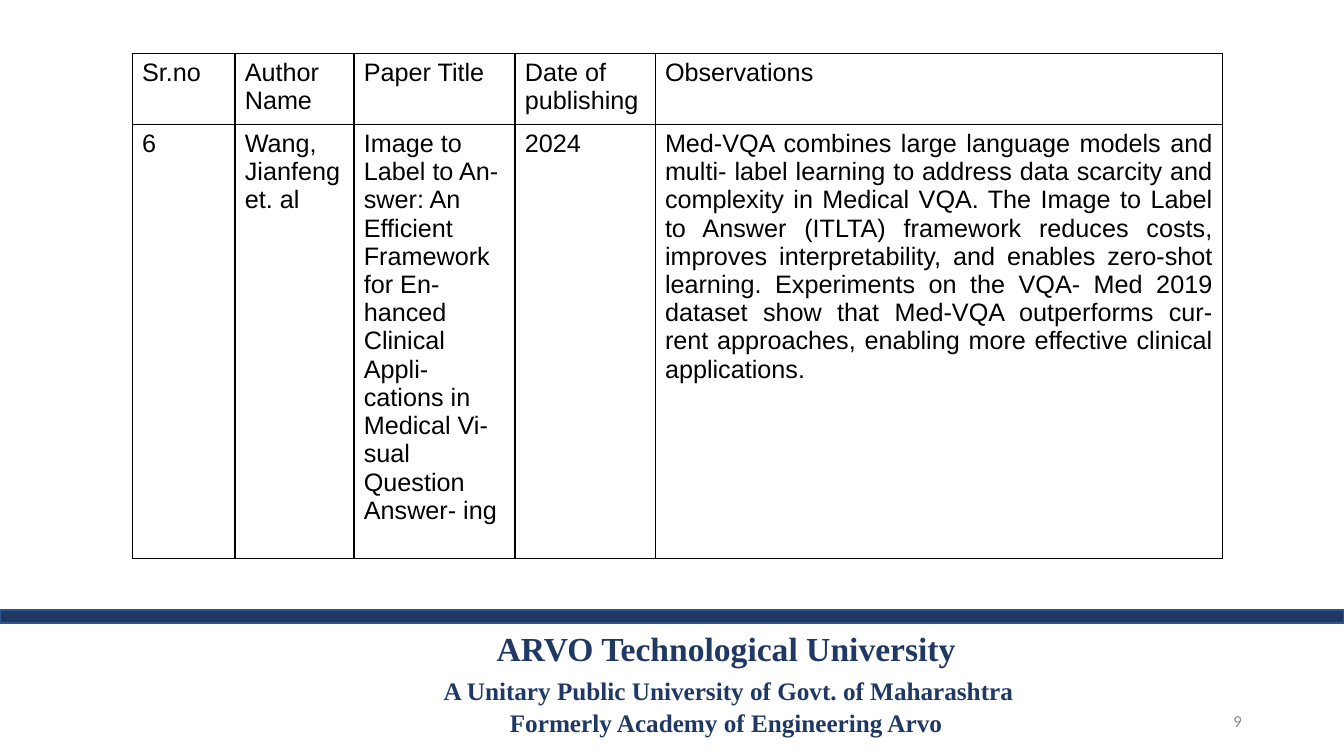
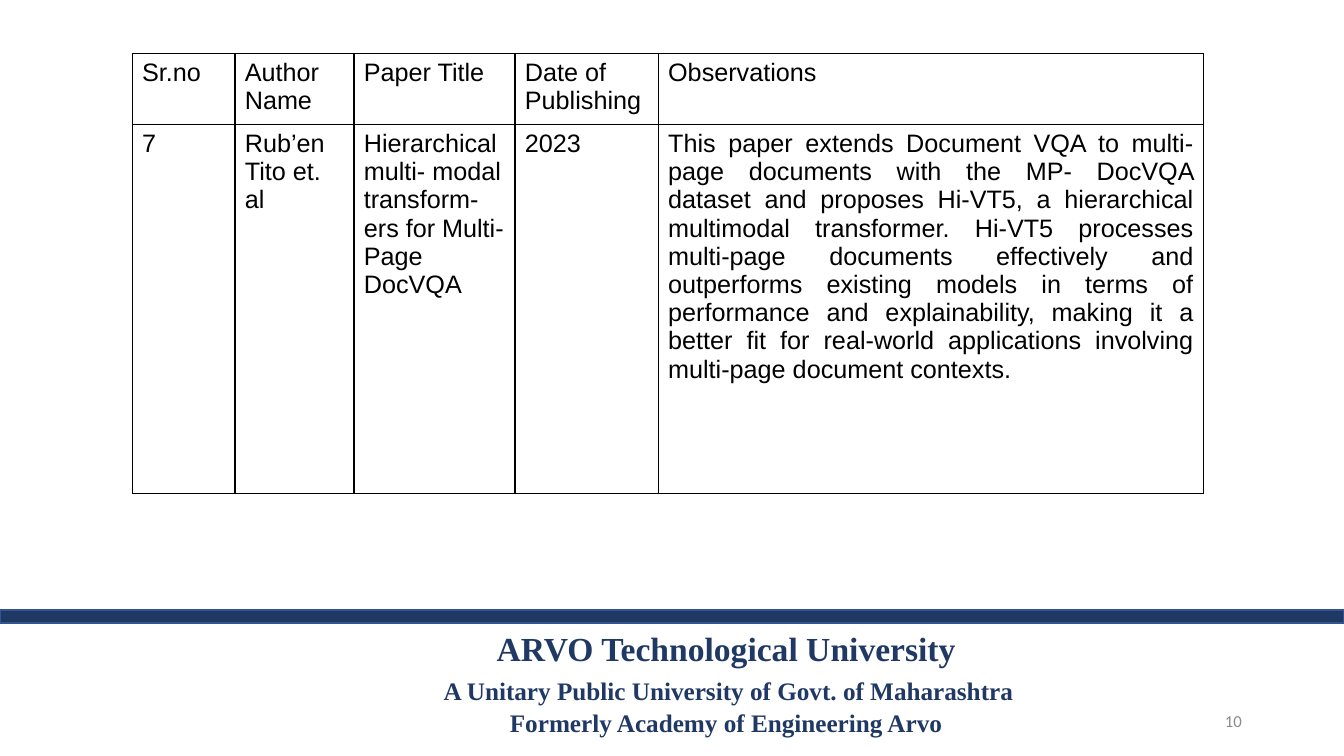
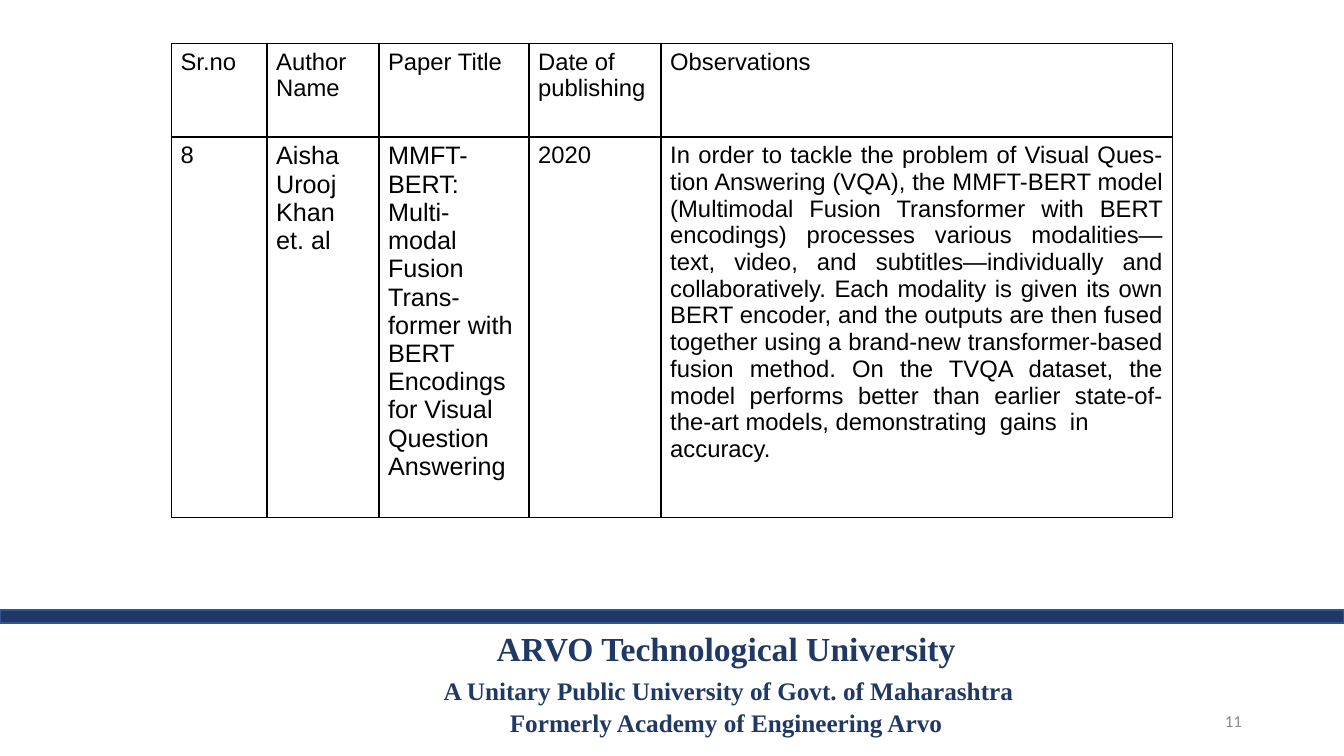
from dataclasses import dataclass

from lxml import etree
from pptx import Presentation
from pptx.dml.color import RGBColor
from pptx.enum.shapes import MSO_SHAPE
from pptx.enum.text import MSO_ANCHOR, PP_ALIGN
from pptx.oxml.ns import qn
from pptx.util import Cm, Pt

RECTANGLE = MSO_SHAPE.RECTANGLE
MIDDLE = MSO_ANCHOR.MIDDLE
LEFT, CENTER, RIGHT, JUSTIFY = PP_ALIGN.LEFT, PP_ALIGN.CENTER, PP_ALIGN.RIGHT, PP_ALIGN.JUSTIFY

NAVY = RGBColor(0x20, 0x38, 0x64)
BAND_EDGE = RGBColor(0x32, 0x54, 0x90)
BLACK = RGBColor(0, 0, 0)
GREY = RGBColor(0x8B, 0x8B, 0x8B)

SLIDE_WIDTH, SLIDE_HEIGHT = 33.87, 19.05
BODY_FONT, FOOTER_FONT, NUMBER_FONT = "Arial", "Times New Roman", "Calibri"

# Text, size, space before and space after, in points
FOOTER_LINES = [
    ("ARVO Technological University", 24, 0, 0),
    (" A Unitary Public University of Govt. of Maharashtra", 18, 5, 1),
    ("Formerly Academy of Engineering Arvo", 18, 0, 0),
]


@dataclass
class Review:
    """One reviewed paper and the measures of its table, in cm and points."""
    number: int
    author: str
    title: str
    year: str
    observations: str
    left: float
    top: float
    columns: list
    rows: list
    date_heading: str = "Date of\npublishing"
    size: int = 18
    margin: float = 0.25


class Deck:
    def __init__(self):
        self.presentation = Presentation()
        self.presentation.slide_width = Cm(SLIDE_WIDTH)
        self.presentation.slide_height = Cm(SLIDE_HEIGHT)
        self.slide = None

    def new_slide(self, page):
        self.slide = self.presentation.slides.add_slide(self.presentation.slide_layouts[6])
        self.footer()
        self.band()
        self.page_number(page)

    def style(self, paragraph, font, size, color, align=LEFT, bold=False):
        paragraph.alignment = align
        paragraph.font.name = font
        paragraph.font.size = Pt(size)
        paragraph.font.color.rgb = color
        paragraph.font.bold = bold

    def text_frame(self, left, top, width, height):
        box = self.slide.shapes.add_textbox(Cm(left), Cm(top), Cm(width), Cm(height))
        box.text_frame.word_wrap = True
        return box.text_frame

    def footer(self):
        frame = self.text_frame(5.46, 15.7, 25.68, 3.05)
        frame.text = "\n".join(line[0] for line in FOOTER_LINES)
        for paragraph, (_, size, before, after) in zip(frame.paragraphs, FOOTER_LINES):
            self.style(paragraph, FOOTER_FONT, size, NAVY, CENTER, bold=True)
            paragraph.space_before, paragraph.space_after = Pt(before), Pt(after)

    def band(self):
        band = self.slide.shapes.add_shape(RECTANGLE, 0, Cm(15.37), Cm(SLIDE_WIDTH), Cm(0.33))
        band.shadow.inherit = False
        band.fill.solid()
        band.fill.fore_color.rgb = NAVY
        band.line.color.rgb = BAND_EDGE
        band.line.width = Pt(2)

    def page_number(self, page):
        frame = self.text_frame(23.93, 17.65, 7.62, 1.02)
        frame.vertical_anchor = MIDDLE
        frame.text = str(page)
        self.style(frame.paragraphs[0], NUMBER_FONT, 12, GREY, RIGHT)

    def cell_borders(self, cell):
        properties = cell._tc.get_or_add_tcPr()
        for index, side in enumerate(("a:lnL", "a:lnR", "a:lnT", "a:lnB")):
            border = etree.Element(qn(side), w=str(Pt(1)))
            fill = etree.SubElement(border, qn("a:solidFill"))
            etree.SubElement(fill, qn("a:srgbClr"), val=str(BLACK))
            properties.insert(index, border)

    def cell(self, cell, text, size, margin, align):
        cell.text = text
        cell.margin_left = cell.margin_right = Cm(margin)
        cell.margin_top = cell.margin_bottom = Cm(0.13)
        cell.fill.background()
        self.cell_borders(cell)
        for paragraph in cell.text_frame.paragraphs:
            self.style(paragraph, BODY_FONT, size, BLACK, align)

    def review_table(self, review):
        headings = ["Sr.no", "Author\nName", "Paper Title", review.date_heading, "Observations"]
        entries = [str(review.number), review.author, review.title, review.year, review.observations]
        table = self.slide.shapes.add_table(
            len(review.rows), len(review.columns), Cm(review.left), Cm(review.top),
            Cm(sum(review.columns)), Cm(sum(review.rows))).table
        table.first_row = table.horz_banding = False
        for column, width in zip(table.columns, review.columns):
            column.width = Cm(width)
        for row, height in zip(table.rows, review.rows):
            row.height = Cm(height)
        for column, (heading, entry) in enumerate(zip(headings, entries)):
            entry_size = 18 if entry in (review.author, review.title) else review.size
            align = JUSTIFY if entry == review.observations else LEFT
            self.cell(table.cell(0, column), heading, review.size, review.margin, LEFT)
            self.cell(table.cell(1, column), entry, entry_size, review.margin, align)


REVIEWS = [
    Review(
        6, "Wang, Jianfeng et. al",
        "Image to Label to An- swer: An Efficient Framework for En- hanced Clinical "
        "Appli- cations in Medical Vi- sual Question Answer- ing",
        "2024",
        "Med-VQA combines large language models and multi- label learning to address data "
        "scarcity and complexity in Medical VQA. The Image to Label to Answer (ITLTA) "
        "framework reduces costs, improves interpretability, and enables zero-shot learning. "
        "Experiments on the VQA- Med 2019 dataset show that Med-VQA outperforms cur- rent "
        "approaches, enabling more effective clinical applications.",
        left=3.33, top=1.35, columns=[2.59, 3, 4.06, 3.53, 14.3], rows=[1.75, 10.92]),
    Review(
        7, "Rub’en Tito et. al",
        "Hierarchical multi- modal transform- ers for Multi-Page DocVQA",
        "2023",
        "This paper extends Document VQA to multi-page documents with the MP- DocVQA dataset "
        "and proposes Hi-VT5, a hierarchical multimodal transformer. Hi-VT5 processes "
        "multi-page documents effectively and outperforms existing models in terms of "
        "performance and explainability, making it a better fit for real-world applications "
        "involving multi-page document contexts.",
        left=3.33, top=1.35, columns=[2.59, 3, 4.06, 3.61, 13.74], rows=[1.75, 9.3],
        date_heading="Date of\nPublishing"),
    Review(
        8, "Aisha Urooj Khan et. al",
        "MMFT-BERT: Multi-\nmodal Fusion Trans- former with BERT Encodings for Visual "
        "Question Answering",
        "2020",
        "In order to tackle the problem of Visual Ques- tion Answering (VQA), the MMFT-BERT "
        "model (Multimodal Fusion Transformer with BERT encodings) processes various "
        "modalities—text, video, and subtitles—individually and collaboratively. Each modality "
        "is given its own BERT encoder, and the outputs are then fused together using a "
        "brand-new transformer-based fusion method. On the TVQA dataset, the model performs "
        "better than earlier state-of-the-art models, demonstrating  gains  in\naccuracy.",
        left=4.32, top=1.09, columns=[2.41, 2.82, 3.78, 3.33, 12.88], rows=[2.36, 9.6],
        size=17, margin=0.23),
]


def main():
    deck = Deck()
    for page, review in enumerate(REVIEWS, start=9):
        deck.new_slide(page)
        deck.review_table(review)
    deck.presentation.save("out.pptx")


if __name__ == "__main__":
    main()
